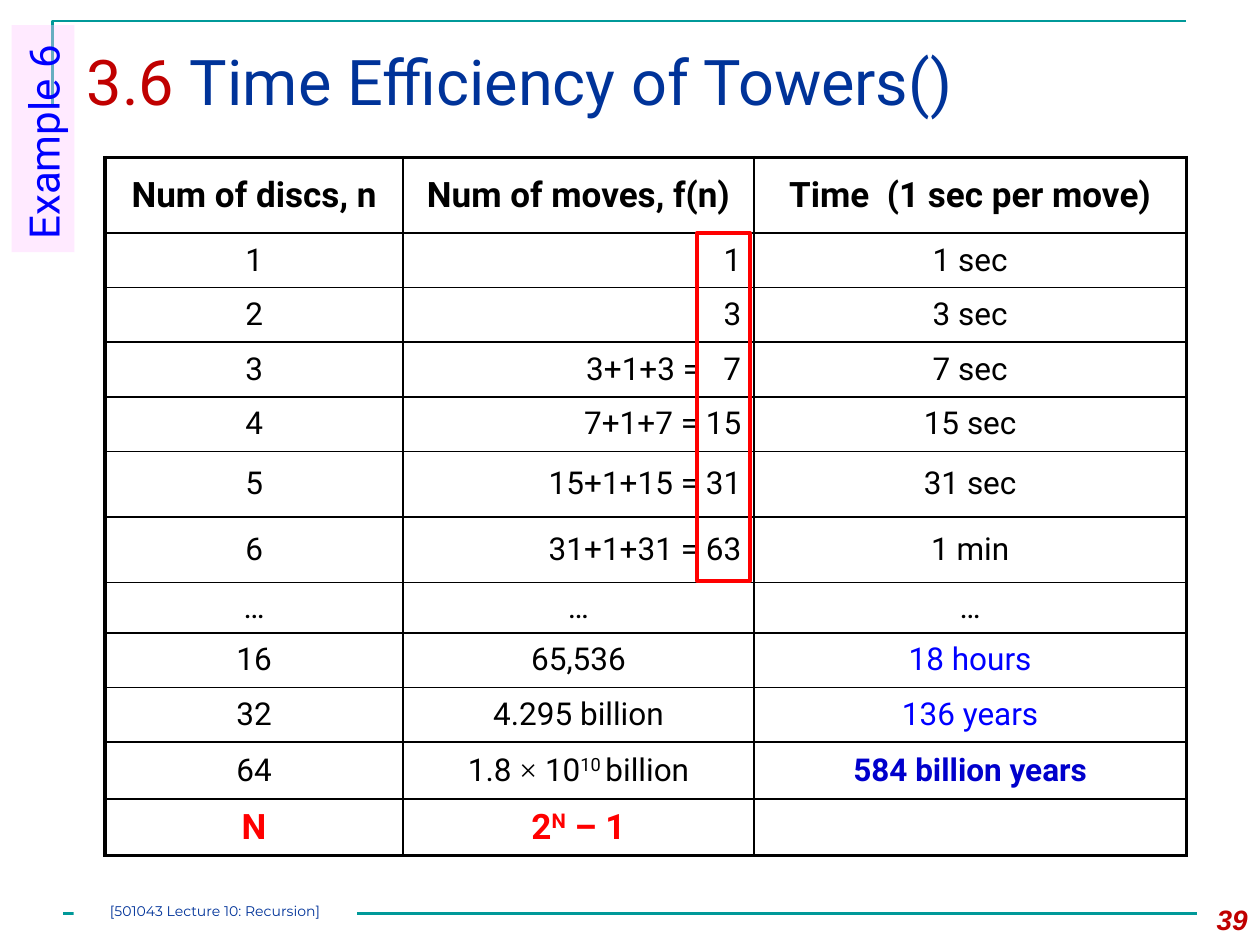
from lxml.etree import SubElement
from pptx import Presentation
from pptx.dml.color import RGBColor
from pptx.enum.shapes import MSO_CONNECTOR, MSO_SHAPE
from pptx.enum.text import MSO_ANCHOR, PP_ALIGN
from pptx.oxml.ns import qn
from pptx.util import Inches, Pt

GRID_COLUMNS = 120
SLIDE_WIDTH, SLIDE_HEIGHT = Inches(10), Inches(7.5)
BLACK, WHITE, RED, CRIMSON = "000000", "FFFFFF", "FF0000", "C00000"
TEAL, NAVY, BLUE, DEEP_BLUE, PINK = "009999", "003399", "0000FF", "0000CC", "FFCCFF"
THIN, THICK = 1, 2.25

COLUMN_WIDTHS = [28.4, 33.4, 41.2]
ROW_HEIGHTS = [7.2] + [5.2] * 4 + [6.25] * 2 + [3.5] + [5.2] * 2 + [5.4] * 2
HEADINGS = ["Num of discs, n", "Num of moves, f(n)", "Time  (1 sec per move)"]
SMALL_CASES = [
    ("1", "1", "1 sec"),
    ("2", "3", "3 sec"),
    ("3", "3+1+3 =   7", "7 sec"),
    ("4", "7+1+7 = 15", "15 sec"),
    ("5", "15+1+15 = 31", "31 sec"),
    ("6", "31+1+31 = 63", "1 min"),
]
BILLIONS = [
    "1.8 ",
    ("×", {"font": "Times New Roman"}),
    " 10",
    ("10 ", {"raised": True}),
    "billion",
]
FORMULA = ["2", ("N", {"raised": True}), " – 1"]


def grid(*units):
    return [round(unit * SLIDE_WIDTH / GRID_COLUMNS) for unit in units]


def color(hex_code):
    return RGBColor.from_string(hex_code)


def add_run(paragraph, text, size=18, font="Roboto", fill=BLACK,
            bold=False, italic=False, raised=False):
    run = paragraph.add_run()
    run.text = text
    run.font.size, run.font.name = Pt(size), font
    run.font.bold, run.font.italic = bold, italic
    run.font.color.rgb = color(fill)
    if raised:
        run.font._element.set("baseline", "30000")


def write(frame, content, align=PP_ALIGN.LEFT, spacing=None, **style):
    paragraph = frame.paragraphs[0]
    paragraph.alignment = align
    if spacing:
        paragraph.line_spacing = spacing
    for part in [content] if isinstance(content, str) else content:
        text, changes = (part, {}) if isinstance(part, str) else part
        add_run(paragraph, text, **{**style, **changes})


def add_text(slide, box, content, anchor=MSO_ANCHOR.TOP, **style):
    frame = slide.shapes.add_textbox(*grid(*box)).text_frame
    frame.word_wrap = True
    frame.vertical_anchor = anchor
    write(frame, content, **style)


def add_rectangle(slide, box, fill=None, line=None, opacity=None):
    shape = slide.shapes.add_shape(MSO_SHAPE.RECTANGLE, *grid(*box))
    shape.shadow.inherit = False
    shape.text_frame.vertical_anchor = MSO_ANCHOR.TOP
    if fill:
        shape.fill.solid()
        shape.fill.fore_color.rgb = color(fill)
    else:
        shape.fill.background()
    if opacity:
        tint = shape._element.spPr.find(f"{qn('a:solidFill')}/{qn('a:srgbClr')}")
        SubElement(tint, qn("a:alpha"), val=str(opacity * 1000))
    if line:
        shape.line.color.rgb = color(line)
        shape.line.width = Pt(THICK)
    else:
        shape.line.fill.background()
    return shape


def add_corner_rule(slide):
    points = [grid(5, 10), grid(5, 2), grid(113, 2)]
    builder = slide.shapes.build_freeform(*points[0])
    builder.add_line_segments(points[1:], close=False)
    shape = builder.convert_to_shape()
    shape.shadow.inherit = False
    shape.fill.background()
    shape.line.color.rgb = color(TEAL)
    shape.line.width = Pt(1.5)


def add_footer_rule(slide):
    connector = slide.shapes.add_connector(MSO_CONNECTOR.STRAIGHT, *grid(6, 87, 114, 87))
    connector.line.color.rgb = color(TEAL)
    connector.line.width = Pt(1.5)
    SubElement(connector._element.spPr, qn("a:effectLst"))


def set_borders(cell, widths):
    properties = cell._tc.get_or_add_tcPr()
    for side, width in zip("LRTB", widths):
        border = SubElement(properties, qn(f"a:ln{side}"), w=str(Pt(width)))
        fill = SubElement(border, qn("a:solidFill"))
        SubElement(fill, qn("a:srgbClr"), val=BLACK)


def table_entries():
    center = {"align": PP_ALIGN.CENTER}
    heading = {**center, "size": 20, "bold": True}
    general = {**heading, "fill": RED}
    blue = {**center, "fill": BLUE}
    strong = {**center, "fill": DEEP_BLUE, "bold": True}
    rows = [[(text, heading) for text in HEADINGS]]
    for discs, moves, time in SMALL_CASES:
        rows.append([(discs, center), (moves, {"align": PP_ALIGN.RIGHT}), (time, center)])
    return rows + [
        [("…", center)] * 3,
        [("16", center), ("65,536", center), ("18 hours", blue)],
        [("32", center), ("4.295 billion", center), ("136 years", blue)],
        [("64", center), (BILLIONS, center), ("584 billion years", strong)],
        [("N", general), (FORMULA, general), ([], general)],
    ]


def add_moves_table(slide):
    row_count, column_count = len(ROW_HEIGHTS), len(COLUMN_WIDTHS)
    box = grid(10, 15, sum(COLUMN_WIDTHS), sum(ROW_HEIGHTS))
    table = slide.shapes.add_table(row_count, column_count, *box).table
    table.first_row = table.horz_banding = False
    for column, width in zip(table.columns, grid(*COLUMN_WIDTHS)):
        column.width = width
    for row, height in zip(table.rows, grid(*ROW_HEIGHTS)):
        row.height = height
    for r, entries in enumerate(table_entries()):
        for c, (content, style) in enumerate(entries):
            cell = table.cell(r, c)
            edges = [c == 0, c == column_count - 1, r == 0, r == row_count - 1]
            set_borders(cell, [THICK if edge else THIN for edge in edges])
            cell.fill.solid()
            cell.fill.fore_color.rgb = color(WHITE)
            cell.vertical_anchor = MSO_ANCHOR.MIDDLE
            write(cell.text_frame, content, **style)


def add_example_tab(slide):
    shape = add_rectangle(slide, (-6.7, 10.2, 21.6, 6), fill=PINK, opacity=40)
    shape.rotation = 270
    write(shape.text_frame, "Example 6", size=24, fill=BLUE)


def add_footer(slide):
    shape = add_rectangle(slide, (7, 86, 27, 2), fill=WHITE)
    frame = shape.text_frame
    frame.margin_left = frame.margin_right = frame.margin_top = frame.margin_bottom = 0
    write(frame, "[501043 Lecture 10: Recursion]", align=PP_ALIGN.CENTER,
          size=8, font="Montserrat", fill=NAVY)


def main():
    presentation = Presentation()
    presentation.slide_width, presentation.slide_height = SLIDE_WIDTH, SLIDE_HEIGHT
    slide = presentation.slides.add_slide(presentation.slide_layouts[6])
    add_corner_rule(slide)
    add_footer_rule(slide)
    add_text(slide, (7.1, 3, 106.9, 10.3),
             [("3.6 ", {"fill": CRIMSON}), "Time Efficiency of Towers()"],
             anchor=MSO_ANCHOR.MIDDLE, spacing=0.9, size=36, fill=NAVY)
    add_text(slide, (112, 85.2, 8, 4.8), "39", anchor=MSO_ANCHOR.MIDDLE,
             align=PP_ALIGN.RIGHT, size=16, font="Arial", fill=CRIMSON,
             bold=True, italic=True)
    add_moves_table(slide)
    add_rectangle(slide, (66.4, 22.2, 5, 33.1), line=RED)
    add_example_tab(slide)
    add_footer(slide)
    presentation.save("out.pptx")


if __name__ == "__main__":
    main()
